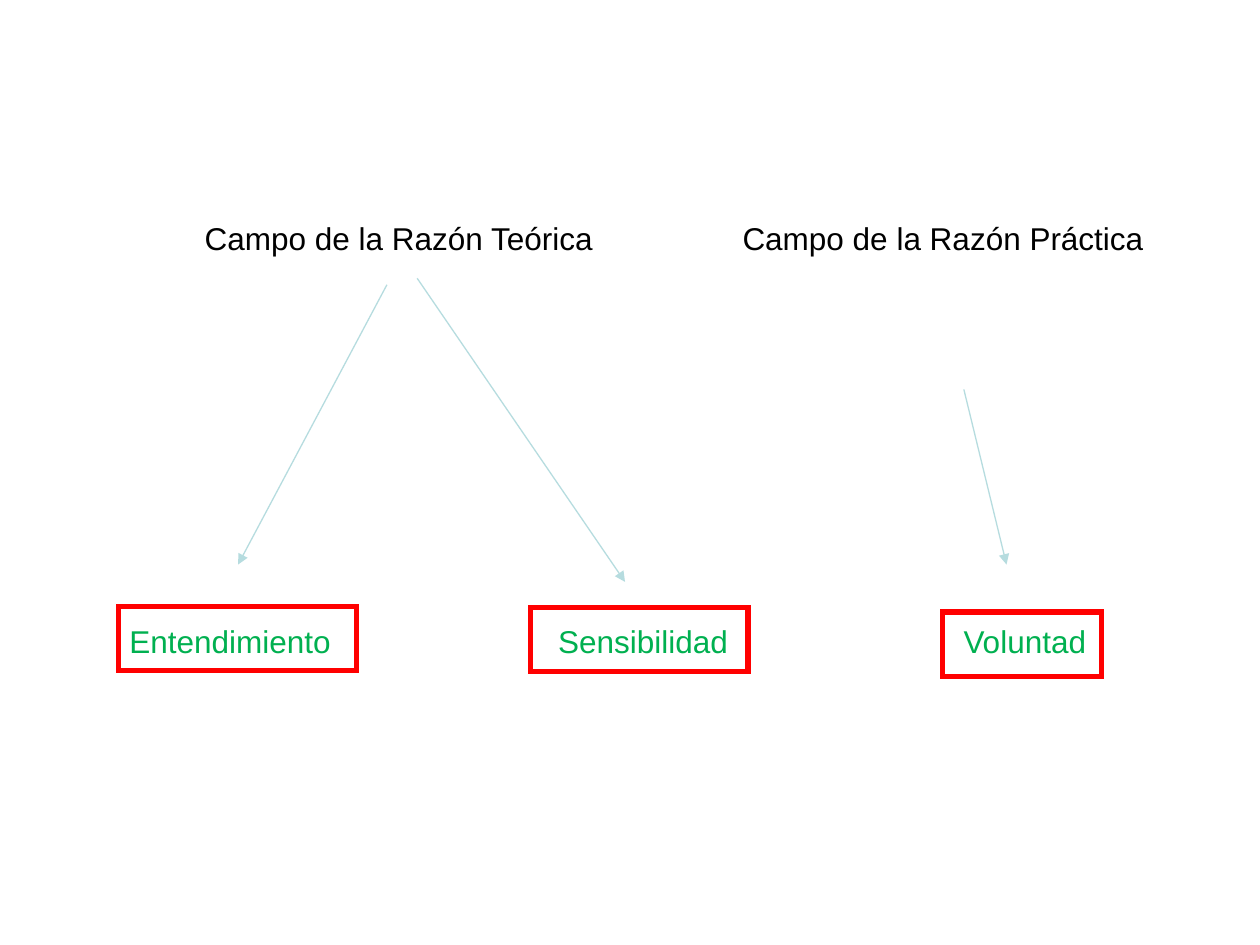
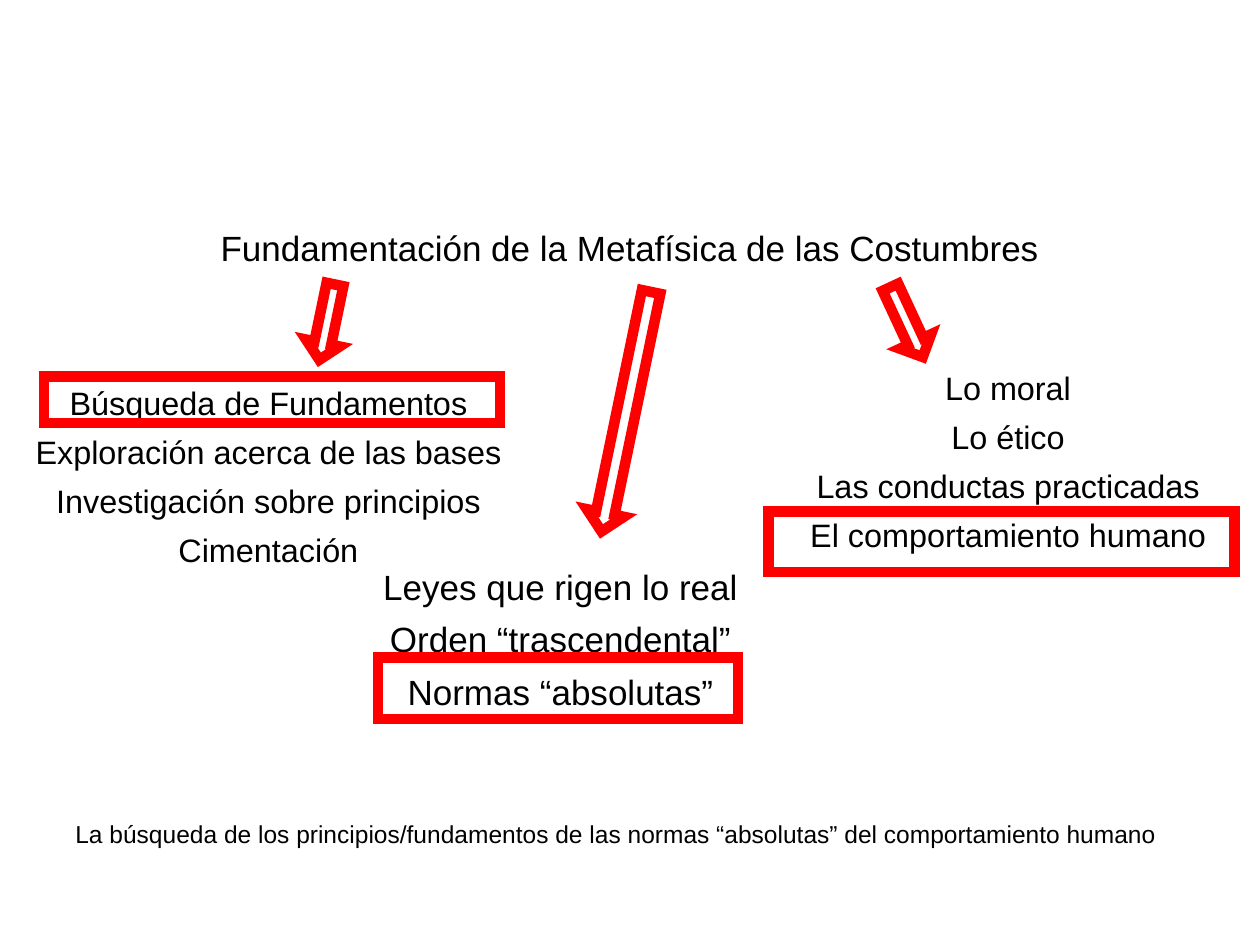
import pptx
import pptx.util
import pptx.dml.color
import pptx.enum.shapes
import pptx.enum.text
import pptx.oxml.ns
import lxml.etree

Cm = pptx.util.Cm
Pt = pptx.util.Pt
RGBColor = pptx.dml.color.RGBColor
SHAPE = pptx.enum.shapes.MSO_SHAPE
ALIGN = pptx.enum.text.PP_ALIGN
qn = pptx.oxml.ns.qn

BLACK = RGBColor(0x00, 0x00, 0x00)
RED = RGBColor(0xFF, 0x00, 0x00)
GREEN = RGBColor(0x00, 0xB0, 0x50)
PALE_TEAL = RGBColor(0xB6, 0xDC, 0xDF)
FONT = "Arial"


# Shared parts; every box is (left, top, width, height) in centimetres
def add_text(slide, box, lines, size, color=BLACK, align=ALIGN.CENTER, before=0):
    tf = slide.shapes.add_textbox(*map(Cm, box)).text_frame
    tf.word_wrap = True
    tf.text = "\n".join(lines)
    for p in tf.paragraphs:
        p.alignment = align
        p.space_before = Pt(before)
        p.font.name = FONT
        p.font.size = Pt(size)
        p.font.color.rgb = color


def add_outline(slide, kind, box, weight, rotation=0):
    sp = slide.shapes.add_shape(kind, *map(Cm, box))
    sp.rotation = rotation
    sp.shadow.inherit = False
    sp.fill.background()
    sp.line.color.rgb = RED
    sp.line.width = Pt(weight)
    # Sharp corners
    lxml.etree.SubElement(sp.line._get_or_add_ln(), qn("a:miter"), lim="800000")


def add_arrow_line(slide, start, end):
    line = slide.shapes.add_connector(
        pptx.enum.shapes.MSO_CONNECTOR.STRAIGHT, *map(Cm, start + end))
    line.line.color.rgb = PALE_TEAL
    line.line.width = Pt(0.75)
    lxml.etree.SubElement(line.line._get_or_add_ln(), qn("a:tailEnd"), type="triangle")
    lxml.etree.SubElement(line._element.spPr, qn("a:effectLst"))


# Slide 1: fields of reason and their faculties
def add_faculty(slide, name, box, label_shift):
    left, _, width, height = box
    add_outline(slide, SHAPE.RECTANGLE, box, 3)
    add_text(slide, (left + label_shift, 12.42, width, height), [name], 18, GREEN)


def build_fields_slide(slide):
    for left, field in ((2.39, "Teórica"), (13.36, "Práctica")):
        add_text(slide, (left, 4.29, 11.3, 1.78), [f"Campo de la Razón {field}"], 18)
    for start, end in (((7.8, 5.74), (4.8, 11.38)),
                       ((8.41, 5.61), (12.6, 11.73)),
                       ((19.43, 7.85), (20.29, 11.38))):
        add_arrow_line(slide, start, end)
    add_faculty(slide, "Entendimiento", (2.39, 12.22, 4.8, 1.3), -0.15)
    add_faculty(slide, "Sensibilidad", (10.69, 12.24, 4.39, 1.3), 0.08)
    add_faculty(slide, "Voluntad", (19, 12.34, 3.2, 1.3), 0.06)


# Slide 2: terms of the title, each with an arrow, a list and a framed line
def add_concept(slide, left, top, lines, size, arrow, rotation, frame):
    """Arrow and frame are boxes relative to the list's top left corner."""
    add_text(slide, (left, top, 10.82, 3.96), lines, size, before=5.8)
    for kind, (dx, dy, width, height), angle in (
            (SHAPE.RIGHT_ARROW, arrow, rotation), (SHAPE.RECTANGLE, frame, 0)):
        add_outline(slide, kind, (left + dx, top + dy, width, height), 6, angle)


def build_foundations_slide(slide):
    add_text(slide, (1.27, 4.45, 22.86, 1.47),
             ["Fundamentación de la Metafísica de las Costumbres"], 20, before=5)
    add_concept(slide, 0, 7.59,
                ["Búsqueda de Fundamentos", "Exploración acerca de las bases",
                 "Investigación sobre principios", "Cimentación"], 18.5,
                (5.82, -1.44, 1.55, 0.69), 101.7, (0.89, 0, 9.19, 0.94))
    add_concept(slide, 14.91, 7.29,
                ["Lo moral", "Lo ético", "Las conductas practicadas",
                 "El comportamiento humano"], 18.5,
                (2.59, -1.14, 1.55, 0.69), 65.1, (0.58, 3.02, 9.4, 1.22))
    add_concept(slide, 5.89, 11.28,
                ["Leyes que rigen lo real", "Orden “trascendental”",
                 "Normas “absolutas”"], 20,
                (4.27, -3.36, 4.93, 0.76), 101.7, (1.73, 1.98, 7.26, 1.24))
    # Summary sentence
    add_text(slide, (1.27, 16.38, 22.86, 0.86),
             ["La búsqueda de los principios/fundamentos de las normas "
              "“absolutas” del comportamiento humano"], 14, align=ALIGN.LEFT)


def main():
    prs = pptx.Presentation()
    prs.slide_width, prs.slide_height = Cm(25.4), Cm(19.05)
    for build in (build_fields_slide, build_foundations_slide):
        build(prs.slides.add_slide(prs.slide_layouts[6]))
    prs.save("out.pptx")


if __name__ == "__main__":
    main()
